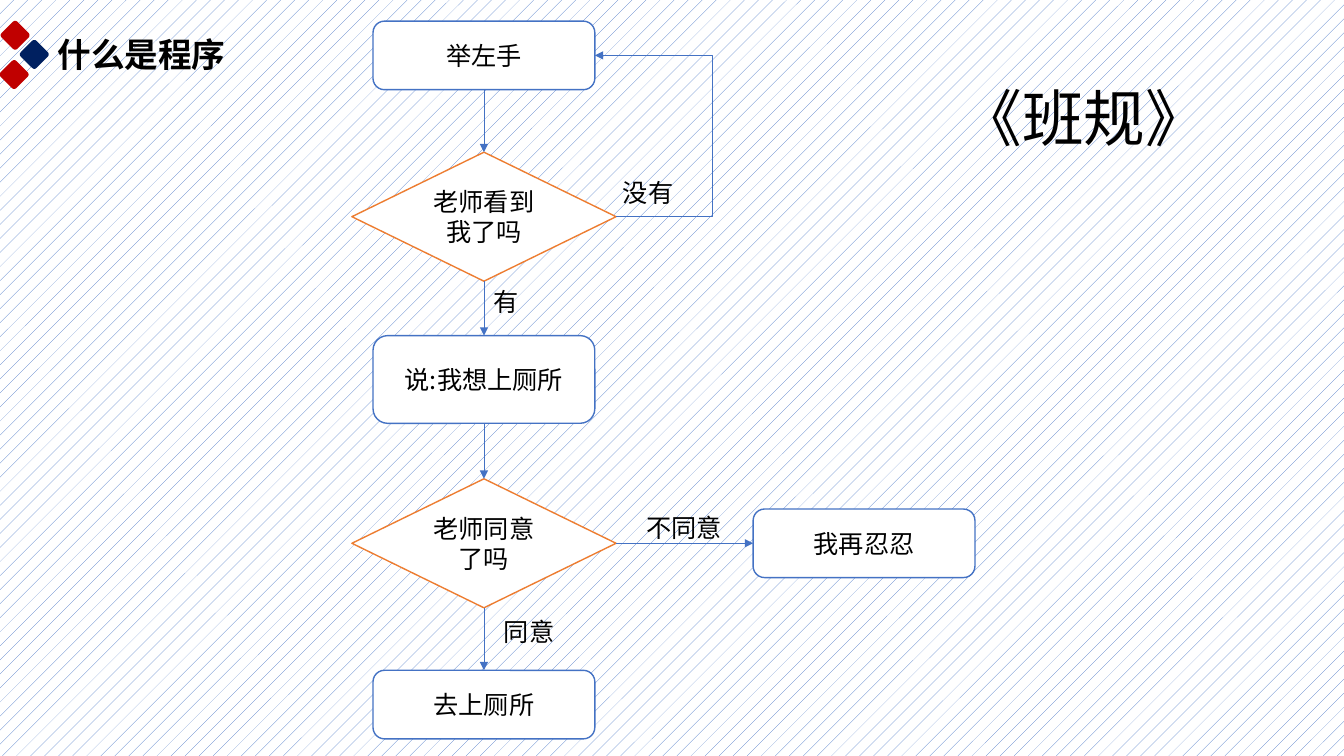
from lxml.etree import SubElement
from pptx import Presentation
from pptx.dml.color import RGBColor
from pptx.enum.dml import MSO_PATTERN
from pptx.enum.shapes import MSO_CONNECTOR as Link, MSO_SHAPE as Shape
from pptx.enum.text import MSO_ANCHOR as Anchor, MSO_AUTO_SIZE as AutoSize, PP_ALIGN as Align
from pptx.oxml.ns import qn
from pptx.util import Inches, Pt

BLACK = RGBColor(0x00, 0x00, 0x00)
WHITE = RGBColor(0xFF, 0xFF, 0xFF)
BLUE = RGBColor(0x44, 0x72, 0xC4)
ORANGE = RGBColor(0xED, 0x7D, 0x31)
RED = RGBColor(0xC0, 0x00, 0x00)
NAVY = RGBColor(0x00, 0x20, 0x60)
FONT = "Noto Sans CJK SC"
TOP, LEFT, BOTTOM, RIGHT = range(4)


def write(frame, text, size=18, align=Align.LEFT, bold=False):
    """Put one formatted paragraph into a text frame."""
    frame.text = text
    para = frame.paragraphs[0]
    para.alignment = align
    para.line_spacing = 1.0
    para.space_before = Pt(0)
    font = para.font
    font.name, font.size, font.bold = FONT, Pt(size), bold
    font.color.rgb = BLACK
    latin = para._p.pPr.find(qn("a:defRPr")).find(qn("a:latin"))
    east = latin.makeelement(qn("a:ea"), {"typeface": FONT})
    latin.addnext(east)


def add_label(page, left, top, width, height, text, size=18):
    """Add an unwrapped text box."""
    box = page.shapes.add_textbox(*map(Inches, (left, top, width, height)))
    write(box.text_frame, text, size)
    box.text_frame.word_wrap = False
    box.text_frame.auto_size = AutoSize.SHAPE_TO_FIT_TEXT


def add_node(page, kind, center, top, width, height, text, color):
    """Add an outlined flowchart node centred on a vertical axis."""
    node = page.shapes.add_shape(kind, *map(Inches, (center - width / 2, top, width, height)))
    node.shadow.inherit = False
    node.fill.solid()
    node.fill.fore_color.rgb = WHITE
    node.line.color.rgb = color
    node.line.width = Pt(1)
    node.text_frame.word_wrap = True
    node.text_frame.vertical_anchor = Anchor.MIDDLE
    write(node.text_frame, text, align=Align.CENTER)
    return node


def add_arrow(page, source, source_side, target, target_side, kind=Link.STRAIGHT):
    """Join two nodes with a thin arrow."""
    arrow = page.shapes.add_connector(kind, 0, 0, 0, 0)
    arrow.begin_connect(source, source_side)
    arrow.end_connect(target, target_side)
    arrow.line.color.rgb = BLUE
    arrow.line.width = Pt(0.5)
    SubElement(arrow.line._get_or_add_ln(), qn("a:tailEnd"), type="triangle")
    SubElement(arrow._element.spPr, qn("a:effectLst"))
    return arrow


def bend_outward(arrow, reach):
    """Push the middle leg of an elbow arrow past its start."""
    share = Inches(reach) / (arrow.end_x - arrow.begin_x)
    guides = arrow._element.spPr.find(qn("a:prstGeom")).get_or_add_avLst()
    SubElement(guides, qn("a:gd"), name="adj1", fmla=f"val {round(share * 100000)}")


def add_header(page, left, top, width, height):
    """Place the title and the three rounded diamonds beside it."""
    title = page.shapes.title
    title.left, title.top, title.width, title.height = map(
        Inches, (left + 0.47, top + 0.08, width - 0.47, height))
    write(title.text_frame, "什么是程序", 24, bold=True)
    title.text_frame.vertical_anchor = Anchor.TOP
    title.text_frame.word_wrap = True
    title.text_frame.auto_size = AutoSize.SHAPE_TO_FIT_TEXT
    emblem = page.shapes.add_group_shape()
    side = 0.22
    for x, y, color in ((0.15, 0.14, RED), (0.34, 0.33, NAVY), (0.14, 0.53, RED)):
        diamond = emblem.shapes.add_shape(
            Shape.ROUNDED_RECTANGLE,
            *map(Inches, (left + x - side / 2, top + y - side / 2, side, side)))
        diamond.rotation = 45
        diamond.adjustments[0] = 0.13
        diamond.shadow.inherit = False
        diamond.fill.solid()
        diamond.fill.fore_color.rgb = color
        diamond.line.fill.background()


def add_flowchart(page, left, top, width):
    """Draw the class rule as a column of steps with two decisions."""
    step, choice = (2.2, 0.68), (2.62, 1.28)
    center = left + choice[0] / 2
    column = [
        add_node(page, kind, center, top + offset, *size, text, color)
        for kind, offset, size, text, color in (
            (Shape.ROUNDED_RECTANGLE, 0, step, "举左手", BLUE),
            (Shape.FLOWCHART_DECISION, 1.3, choice, "老师看到我了吗", ORANGE),
            (Shape.FLOWCHART_ALTERNATE_PROCESS, 3.12, (2.2, 0.87), "说:我想上厕所", BLUE),
            (Shape.FLOWCHART_DECISION, 4.54, choice, "老师同意了吗", ORANGE),
            (Shape.ROUNDED_RECTANGLE, 6.44, step, "去上厕所", BLUE),
        )
    ]
    raise_hand, seen, _, agreed, _ = column
    wait = add_node(page, Shape.ROUNDED_RECTANGLE, left + width - step[0] / 2,
                    top + 4.84, *step, "我再忍忍", BLUE)
    for upper, lower in zip(column, column[1:]):
        add_arrow(page, upper, BOTTOM, lower, TOP)
    add_arrow(page, agreed, RIGHT, wait, LEFT)
    bend_outward(add_arrow(page, seen, RIGHT, raise_hand, RIGHT, Link.ELBOW), -0.96 * -1)
    for x, y, label_width, text in (
        (2.59, 1.5, 0.71, "没有"),
        (1.31, 2.58, 0.45, "有"),
        (2.82, 4.82, 0.96, "不同意"),
        (1.41, 5.86, 0.71, "同意"),
    ):
        add_label(page, left + x, top + y, label_width, 0.4, text)


def main():
    """Build and save the slide."""
    deck = Presentation()
    deck.slide_width, deck.slide_height = Inches(13.33), Inches(7.5)
    page = deck.slides.add_slide(deck.slide_layouts[5])
    backdrop = page.background.fill
    backdrop.patterned()
    backdrop.pattern = MSO_PATTERN.PERCENT_5
    backdrop.fore_color.rgb = BLUE
    backdrop.back_color.rgb = WHITE
    add_header(page, 0, 0.21, 4, 0.5)
    add_flowchart(page, 3.49, 0.21, 6.18)
    add_label(page, 9.43, 0.74, 2.67, 0.84, "《班规》", 44)
    deck.save("out.pptx")


if __name__ == "__main__":
    main()
